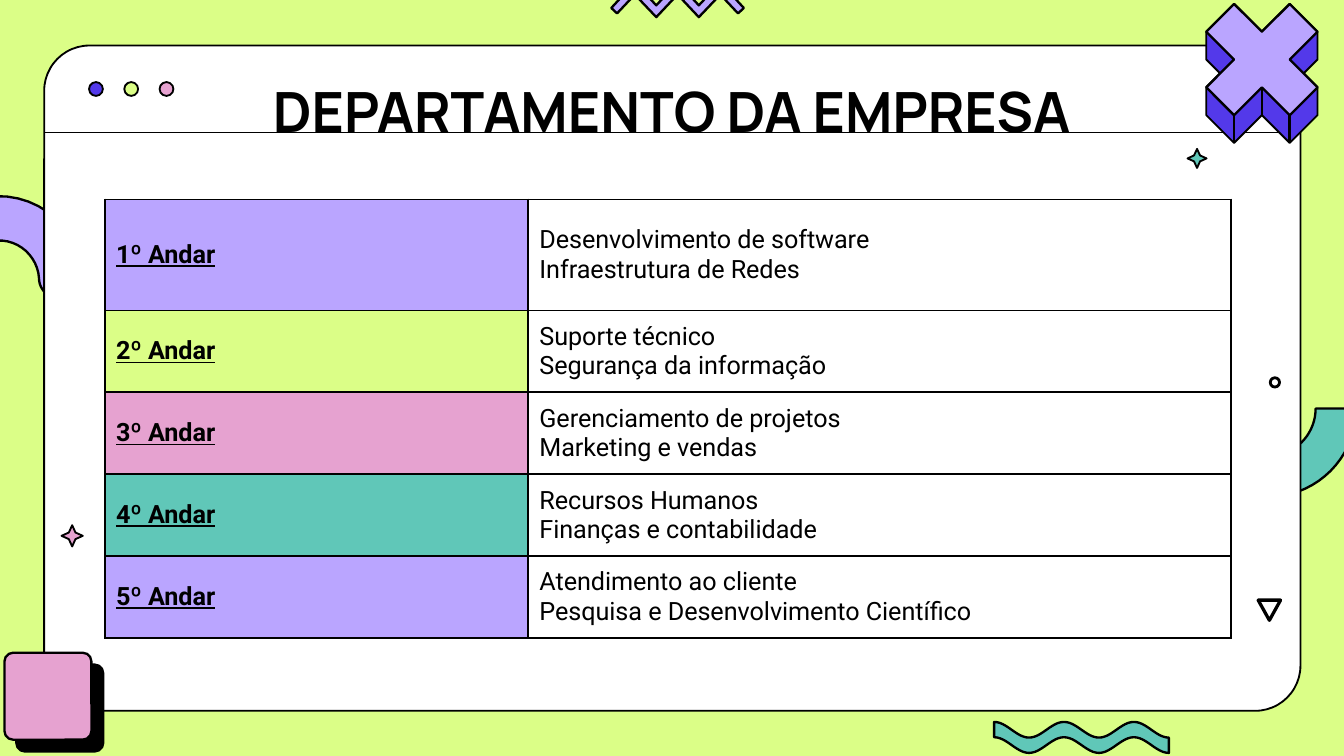
from math import cos, pi, radians, sin

from lxml.etree import SubElement
from pptx import Presentation
from pptx.dml.color import RGBColor
from pptx.enum.shapes import MSO_CONNECTOR as LINK, MSO_SHAPE as SHAPE
from pptx.enum.text import MSO_ANCHOR as ANCHOR, PP_ALIGN as ALIGN
from pptx.oxml.ns import qn
from pptx.util import Pt

BLACK, WHITE = "000000", "FFFFFF"
LILAC, LIME, PINK, TEAL, BLUE = "BAA5FF", "DBFE87", "E6A2D0", "60C7B8", "5339EA"


def paint(fill, tone):
    fill.solid()
    fill.fore_color.rgb = RGBColor.from_string(tone)


def write(frame, text, font="Roboto", size=13.5, tone=BLACK, bold=False,
          under=False, align=ALIGN.LEFT, space=1.0):
    par = frame.paragraphs[0]
    par.text = text
    par.alignment, par.line_spacing = align, space
    for run in par.runs:
        face = run.font
        face.name, face.size = font, Pt(size)
        face.bold, face.underline = bold, under
        paint(face.fill, tone)


def curve(start, *parts):
    """Points along a chain of Bezier curves, six numbers to each."""
    dots = [start]
    for a, b, c, d, x, y in parts:
        u, v = dots[-1]
        for step in range(1, 13):
            t = step / 12
            s = 1 - t
            dots.append((s**3 * u + 3 * s * s * t * a + 3 * s * t * t * c + t**3 * x,
                         s**3 * v + 3 * s * s * t * b + 3 * s * t * t * d + t**3 * y))
    return dots


def arc(x, y, r, first, last):
    """Points on an arc, in five-degree steps."""
    step = 5 if last > first else -5
    turns = [radians(deg) for deg in range(first, last + step, step)]
    return [(x + r * cos(a), y + r * sin(a)) for a in turns]


class Deck:
    def __init__(self, wide, high, back):
        self.prs = Presentation()
        self.prs.slide_width, self.prs.slide_height = Pt(wide), Pt(high)
        self.slide = self.prs.slides.add_slide(self.prs.slide_layouts[6])
        self.shapes = self.slide.shapes
        paint(self.slide.background.fill, back)

    def style(self, shape, fill, width):
        shape.shadow.inherit = False
        paint(shape.fill, fill)
        paint(shape.line.fill, BLACK)
        shape.line.width = Pt(width)
        return shape

    def shape(self, kind, x, y, w, h, fill, width=1, adj=None, turn=0):
        item = self.shapes.add_shape(kind, Pt(x), Pt(y), Pt(w), Pt(h))
        if adj is not None:
            item.adjustments[0] = adj
        item.rotation = turn
        return self.style(item, fill, width)

    def outline(self, dots, fill, width=1.25):
        dots = [(Pt(x), Pt(y)) for x, y in dots]
        pen = self.shapes.build_freeform(*dots[0])
        pen.add_line_segments(dots[1:], close=True)
        return self.style(pen.convert_to_shape(), fill, width)

    def line(self, x, y, u, v, width=1):
        item = self.shapes.add_connector(LINK.STRAIGHT, Pt(x), Pt(y), Pt(u), Pt(v))
        paint(item.line.fill, BLACK)
        item.line.width = Pt(width)
        SubElement(item._element.spPr, qn("a:effectLst"))

    def cast(self, shape, dist, deg):
        """Give a shape a hard black shadow."""
        list_ = shape._element.spPr.find(qn("a:effectLst"))
        shade = SubElement(list_, qn("a:outerShdw"), blurRad="0", dist=str(Pt(dist)),
                           dir=str(deg * 60000), algn="bl", rotWithShape="0")
        SubElement(shade, qn("a:srgbClr"), val=BLACK)

    def text(self, x, y, w, h, text, **form):
        frame = self.shapes.add_textbox(Pt(x), Pt(y), Pt(w), Pt(h)).text_frame
        frame.word_wrap = True
        frame.vertical_anchor = ANCHOR.MIDDLE
        write(frame, text, **form)

    def cell(self, cell, text, fill, **form):
        cell.vertical_anchor = ANCHOR.MIDDLE
        cell.margin_left = cell.margin_right = Pt(6)
        cell.margin_top = cell.margin_bottom = Pt(5.75)
        props = cell._tc.get_or_add_tcPr()
        for side in "LRTB":
            edge = SubElement(props, qn(f"a:ln{side}"), w=str(Pt(1)))
            SubElement(SubElement(edge, qn("a:solidFill")), qn("a:srgbClr"), val=BLACK)
        paint(cell.fill, fill)
        write(cell.text_frame, text, **form)

    def table(self, x, y, cols, highs, rows):
        grid = self.shapes.add_table(len(highs), len(cols), Pt(x), Pt(y),
                                     Pt(sum(cols)), Pt(sum(highs))).table
        grid.first_row = grid.horz_banding = False
        for col, wide in zip(grid.columns, cols):
            col.width = Pt(wide)
        for row, high, (name, areas, tone) in zip(grid.rows, highs, rows):
            row.height = Pt(high)
            self.cell(row.cells[0], name, tone, bold=True, under=True)
            self.cell(row.cells[1], areas, WHITE)


def main():
    deck = Deck(720, 405, LIME)

    # Ribbons behind the window
    deck.outline(curve((-21.6, 110.9),
                       (-15.8, 107.3, -9.4, 105.8, -2.2, 105.1),
                       (22.3, 104.4, 43.2, 123.1, 43.9, 148.3),
                       (44.6, 154.8, 39.6, 159.8, 33.1, 159.8),
                       (26.6, 160.6, 20.9, 155.5, 20.9, 149),
                       (20.2, 137.5, 10.1, 128.2, -1.4, 128.9),
                       (-7.2, 128.9, -12.2, 131.8, -15.8, 135.4),
                       (-20.2, 139.7, -21.6, 145.4, -21.6, 151.2),
                       (-21.6, 157.7, -26.6, 162.7, -33.1, 163.4),
                       (-39.6, 163.4, -44.6, 158.4, -44.6, 151.9),
                       (-46.1, 133.9, -36, 118.1, -21.6, 110.9)), LILAC)
    deck.outline(arc(679.3, 218.9, 47.3, 0, 180) + arc(679.3, 218.9, 25.5, 180, 0), TEAL)

    # Window and title
    deck.shape(SHAPE.ROUNDED_RECTANGLE, 23.7, 24.4, 673, 356.4, WHITE, adj=0.068)
    deck.line(23.7, 71, 696.5, 71)
    deck.text(56.9, 46.8, 606.2, 28.8, "DEPARTAMENTO DA EMPRESA", font="Manrope",
              size=29.7, bold=True, align=ALIGN.CENTER, space=0.9)

    # Floors and their departments
    deck.table(56.2, 106.8, (226.8, 376.6), [59.5] + [43.5] * 4, [
        ("1º Andar", "Desenvolvimento de software\nInfraestrutura de Redes", LILAC),
        ("2º Andar", "Suporte técnico\nSegurança da informação", LIME),
        ("3º Andar", "Gerenciamento de projetos\nMarketing e vendas", PINK),
        ("4º Andar", "Recursos Humanos\nFinanças e contabilidade", TEAL),
        ("5º Andar", "Atendimento ao cliente\nPesquisa e Desenvolvimento Científico", LILAC),
    ])

    # Small marks
    deck.shape(SHAPE.STAR_4_POINT, 33, 281.4, 11.4, 11.4, PINK, adj=0.22)
    deck.shape(SHAPE.STAR_4_POINT, 636.2, 79.8, 10.2, 10.2, TEAL, adj=0.22)
    deck.shape(SHAPE.ISOSCELES_TRIANGLE, 674, 321.5, 12, 10.8, WHITE, 1.75, turn=180)
    deck.shape(SHAPE.OVAL, 680.5, 202.4, 5, 5, WHITE, 1.5)

    # Solid cross, drawn on a square grid
    def spot(col, row):
        return 676 + 14.9 * col, 2.1 + 14.9 * row

    side = [(0, 1), (1, 0), (2, 1), (2, 2), (1.5, 2.5), (2, 3), (2, 4), (1, 5), (0, 4)]
    face = [(0, 1), (1, 0), (2, 1), (1, 2), (2, 3), (1, 4), (0, 3)]
    for half, tone, width in ((side, BLUE, 1), (face, LILAC, 1.25)):
        left = [(-col, row) for col, row in half[-2:0:-1]]
        deck.outline([spot(*dot) for dot in half + left], tone, width)
    for col, row in ((-1, 4), (0, 3), (1, 4)):
        deck.line(*spot(col, row), *spot(col, row + 1), width=1.25)

    # Square with a hard shadow
    box = deck.shape(SHAPE.ROUNDED_RECTANGLE, 2.4, 349.7, 46.6, 46.6, PINK, 1.25, adj=0.1)
    deck.cast(box, 9, 45)

    # Window buttons
    for num, tone in enumerate((BLUE, LIME, PINK)):
        deck.shape(SHAPE.OVAL, 47.7 + 18.9 * num, 44, 7.4, 7.4, tone)

    # Zigzag at the top edge
    half = [(0, -9.4), (11.4, 2.9), (22.9, -9.4), (35.5, 4.3), (32.4, 7.2),
            (22.9, -2.9), (11.4, 9.2), (0, -2.9)]
    left = [(-x, y) for x, y in half[-2:0:-1]]
    deck.outline([(363 + x, y) for x, y in half + left], LILAC)

    # Wave at the bottom edge
    crest = [(532.6 + 1.56 * n, 391 - 4.2 * cos(2 * pi * n / 24)) for n in range(61)]
    deck.outline(crest + [(x, y + 8.2) for x, y in reversed(crest)], TEAL)

    deck.prs.save("out.pptx")


if __name__ == "__main__":
    main()
